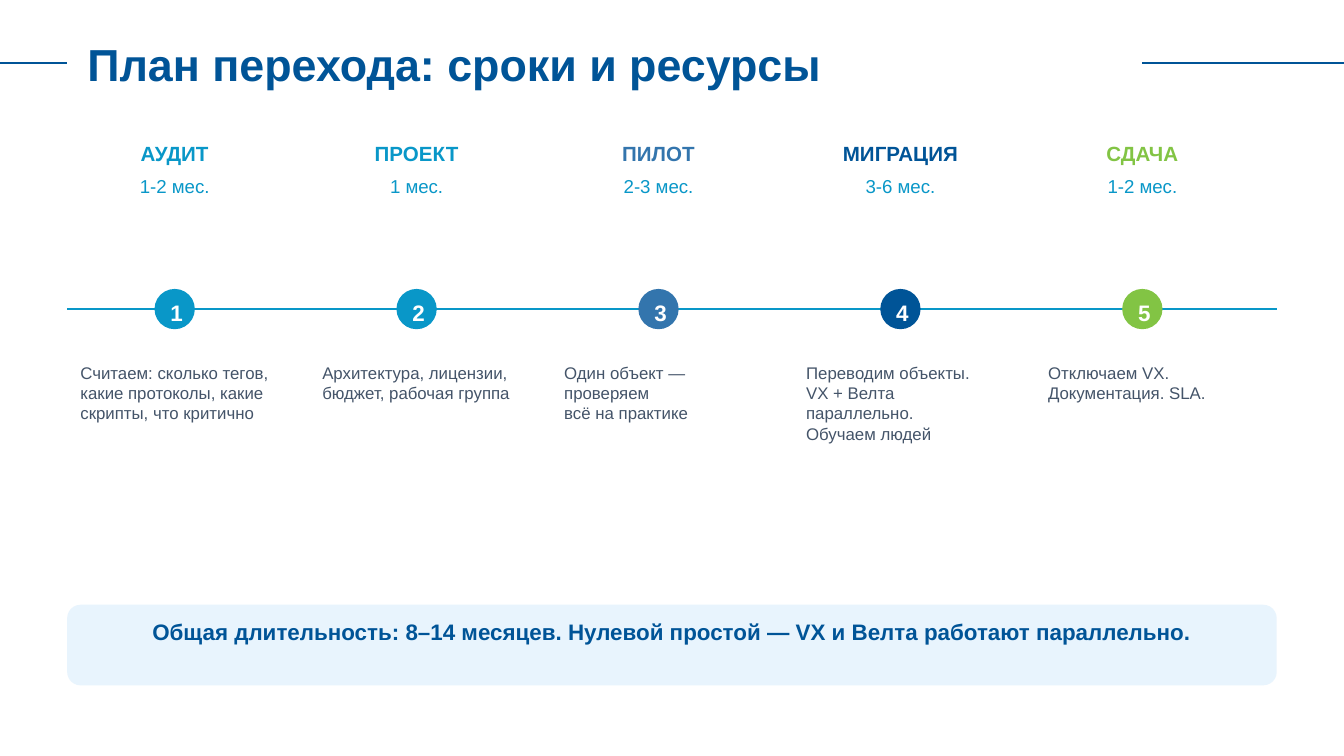
from copy import deepcopy

from lxml.etree import SubElement
from pptx import Presentation
from pptx.dml.color import RGBColor
from pptx.enum.shapes import MSO_CONNECTOR, MSO_SHAPE
from pptx.enum.text import MSO_ANCHOR, MSO_AUTO_SIZE, PP_ALIGN
from pptx.oxml.ns import qn
from pptx.util import Inches, Pt

NAVY = "005497"
CYAN = "0997C8"
BLUE = "3375AD"
GREEN = "82C444"
SLATE = "445469"
PALE = "E8F4FD"
WHITE = "FFFFFF"

STAGES = [
    ("АУДИТ", "1-2 мес.", CYAN,
     "Считаем: сколько тегов,\nкакие протоколы, какие\nскрипты, что критично"),
    ("ПРОЕКТ", "1 мес.", CYAN,
     "Архитектура, лицензии,\nбюджет, рабочая группа"),
    ("ПИЛОТ", "2-3 мес.", BLUE,
     "Один объект — проверяем\nвсё на практике"),
    ("МИГРАЦИЯ", "3-6 мес.", NAVY,
     "Переводим объекты.\nVX + Велта параллельно.\nОбучаем людей"),
    ("СДАЧА", "1-2 мес.", GREEN,
     "Отключаем VX.\nДокументация. SLA."),
]
FIRST_LEFT = 0.5
STAGE_STEP = 1.8
STAGE_WIDTH = 1.6
CIRCLE_SIZE = 0.3
NUMBER_WIDTH = 0.26


def color(code):
    """Turn a hex string into a colour."""
    return RGBColor.from_string(code)


def write(frame, text, size, code, bold=False, align=PP_ALIGN.LEFT):
    """Write one formatted paragraph, keeping line breaks at its size."""
    frame.word_wrap = True
    frame.auto_size = MSO_AUTO_SIZE.SHAPE_TO_FIT_TEXT
    frame.vertical_anchor = MSO_ANCHOR.TOP
    para = frame.paragraphs[0]
    para.text = text
    para.alignment = align
    for span in para.runs:
        span.font.name = "Arial"
        span.font.size = Pt(size)
        span.font.bold = bold
        span.font.color.rgb = color(code)
    for line_break in para._p.findall(qn("a:br")):
        line_break.append(deepcopy(para.runs[0]._r.rPr))


def add_title(page, text):
    """Place and format the title placeholder."""
    title = page.shapes.title
    title.left, title.top = Inches(0.55), Inches(0.22)
    title.width, title.height = Inches(8.5), Inches(0.5)
    write(title.text_frame, text, 24, NAVY, bold=True)


def add_text(page, left, top, width, height, text, size, code, **style):
    """Add a text box with one paragraph."""
    box = page.shapes.add_textbox(
        Inches(left), Inches(top), Inches(width), Inches(height))
    write(box.text_frame, text, size, code, **style)


def add_filled(page, kind, left, top, width, height, code):
    """Add a filled shape without outline or shadow."""
    shape = page.shapes.add_shape(
        kind, Inches(left), Inches(top), Inches(width), Inches(height))
    shape.shadow.inherit = False
    shape.fill.solid()
    shape.fill.fore_color.rgb = color(code)
    shape.line.fill.background()


def add_rule(page, left, right, y, code):
    """Add a thin horizontal line."""
    rule = page.shapes.add_connector(
        MSO_CONNECTOR.STRAIGHT, Inches(left), Inches(y), Inches(right), Inches(y))
    rule.line.color.rgb = color(code)
    rule.line.width = Pt(1)
    SubElement(rule._element.spPr, qn("a:effectLst"))


def add_stage(page, index, name, duration, code, details):
    """Add one numbered stage of the timeline."""
    left = FIRST_LEFT + index * STAGE_STEP
    middle = left + STAGE_WIDTH / 2
    centered = {"align": PP_ALIGN.CENTER}
    add_filled(page, MSO_SHAPE.OVAL, middle - CIRCLE_SIZE / 2, 2.15,
               CIRCLE_SIZE, CIRCLE_SIZE, code)
    add_text(page, middle - NUMBER_WIDTH / 2, 2.18, NUMBER_WIDTH, 0.24,
             str(index + 1), 12, WHITE, bold=True, **centered)
    add_text(page, left, 1, STAGE_WIDTH, 0.25, name, 11, code,
             bold=True, **centered)
    add_text(page, left, 1.25, STAGE_WIDTH, 0.2, duration, 10, CYAN, **centered)
    add_text(page, left, 2.65, STAGE_WIDTH, 1.5, details, 9, SLATE)


def add_summary(page, text):
    """Add the summary banner."""
    add_filled(page, MSO_SHAPE.ROUNDED_RECTANGLE, 0.5, 4.5, 9, 0.6, PALE)
    add_text(page, 0.7, 4.55, 8.6, 0.45, text, 12, NAVY,
             bold=True, align=PP_ALIGN.CENTER)


def main():
    """Build and save the slide."""
    deck = Presentation()
    deck.slide_width = Inches(10)
    deck.slide_height = deck.slide_width * 9 // 16
    page = deck.slides.add_slide(deck.slide_layouts[5])
    add_title(page, "План перехода: сроки и ресурсы")
    add_rule(page, 0, 0.5, 0.47, NAVY)
    add_rule(page, 8.5, 10, 0.47, NAVY)
    add_rule(page, 0.5, 9.5, 2.3, CYAN)
    for index, stage in enumerate(STAGES):
        add_stage(page, index, *stage)
    add_summary(page, "Общая длительность: 8–14 месяцев. "
                "Нулевой простой — VX и Велта работают параллельно.")
    deck.save("out.pptx")


if __name__ == "__main__":
    main()
